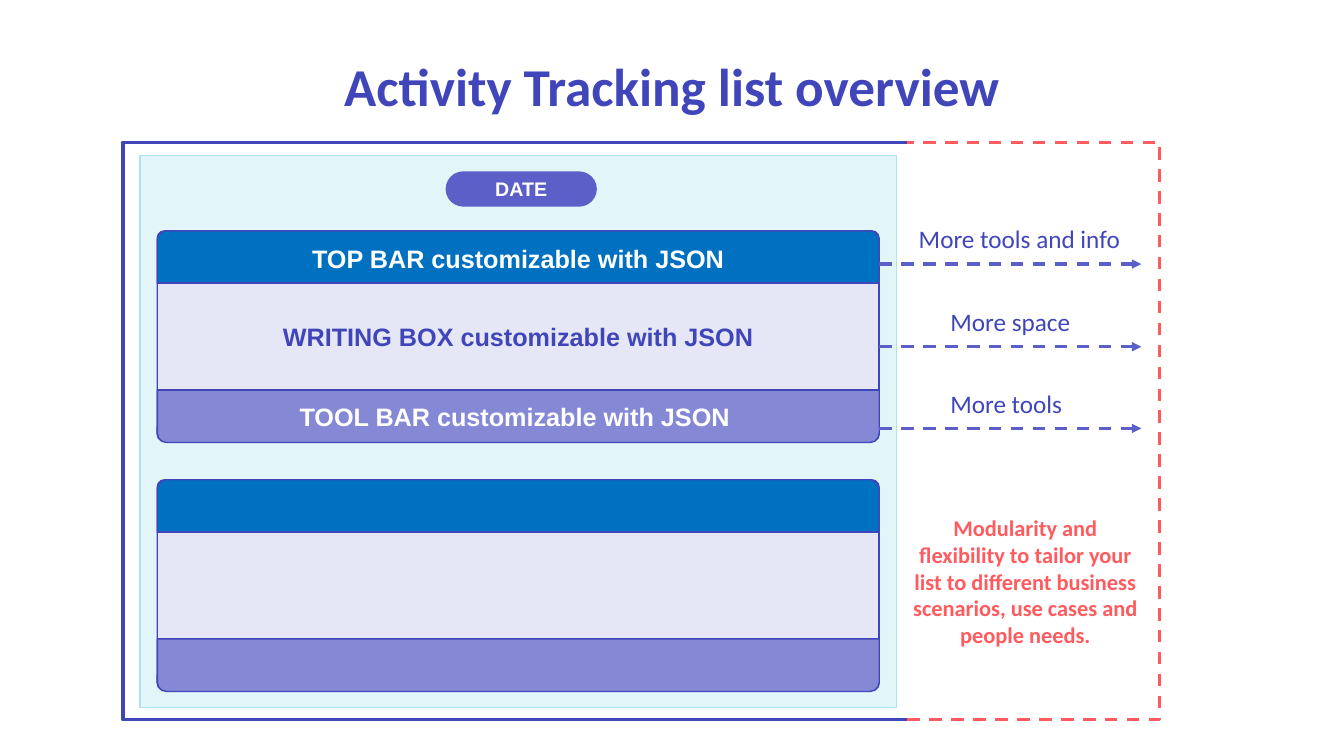
"""Build the Activity Tracking list overview slide."""
from lxml import etree
from pptx import Presentation, util as u
from pptx.dml.color import RGBColor
from pptx.enum import dml, shapes, text
from pptx.oxml import ns

PX = 9144
INDIGO = RGBColor(0x40, 0x46, 0xBA)
VIOLET = RGBColor(0x5B, 0x5F, 0xC7)
LAVENDER = RGBColor(0x85, 0x89, 0xD5)
PALE = RGBColor(0xE6, 0xE7, 0xF6)
BLUE = RGBColor(0x00, 0x70, 0xC0)
AQUA = RGBColor(0xE2, 0xF6, 0xFA)
AQUA_EDGE = RGBColor(0xAA, 0xE4, 0xF0)
CORAL = RGBColor(0xFF, 0x5B, 0x5F)
WHITE = RGBColor(0xFF, 0xFF, 0xFF)
SHAPE = shapes.MSO_SHAPE

presentation = Presentation()
presentation.slide_width, presentation.slide_height = 1333 * PX, 750 * PX
slide = presentation.slides.add_slide(presentation.slide_layouts[6])


def add_shape(kind, box, fill=None, line=None, width=1, adjustments=()):
    shape = slide.shapes.add_shape(kind, *[value * PX for value in box])
    shape.shadow.inherit = False
    for index, value in enumerate(adjustments):
        shape.adjustments[index] = value
    if fill is None:
        shape.fill.background()
    else:
        shape.fill.solid()
        shape.fill.fore_color.rgb = fill
    if line is None:
        shape.line.fill.background()
    else:
        shape.line.color.rgb = line
        shape.line.width = u.Pt(width)
    return shape


def add_text(words, size, font, color, bold=True, box=None, wrap=True, shape=None):
    if shape is None:
        shape = slide.shapes.add_textbox(*[value * PX for value in box])
        shape.text_frame.auto_size = text.MSO_AUTO_SIZE.SHAPE_TO_FIT_TEXT
    else:
        shape.text_frame.vertical_anchor = text.MSO_ANCHOR.MIDDLE
    shape.text_frame.word_wrap = wrap
    paragraph = shape.text_frame.paragraphs[0]
    paragraph.alignment = text.PP_ALIGN.CENTER
    run = paragraph.add_run()
    run.text = words
    run.font.size, run.font.name, run.font.bold = u.Pt(size), font, bold
    run.font.color.rgb = color


add_shape(SHAPE.RECTANGLE, (139, 154, 750, 548), AQUA, AQUA_EDGE)
add_text("Activity Tracking list overview", 38, "Calibri", INDIGO, box=(234, 48, 865, 74))

add_shape(SHAPE.LEFT_BRACKET, (122, 141, 778, 573), None, INDIGO, 2.25, [0])
date_pill = add_shape(SHAPE.ROUNDED_RECTANGLE, (442, 170, 150, 35), VIOLET, adjustments=[0.5])
add_text("DATE", 14, "Arial", WHITE, shape=date_pill)
extension = add_shape(SHAPE.LEFT_BRACKET, (900, 141, 250, 573), None, CORAL, 2.25, [0])
extension.line.dash_style = dml.MSO_LINE.DASH
extension._element.spPr.find(ns.qn("a:xfrm")).set("flipH", "1")

CARD_LEFT, CARD_WIDTH, BAR_HEIGHT, BOX_HEIGHT = 156, 716, 52, 106
for card_top, labelled in ((229, True), (476, False)):
    box_top = card_top + BAR_HEIGHT
    tool_top = box_top + BOX_HEIGHT
    add_shape(SHAPE.ROUNDED_RECTANGLE, (CARD_LEFT, card_top, CARD_WIDTH, 209),
              None, INDIGO, adjustments=[0.035])
    top_bar = add_shape(SHAPE.ROUND_2_SAME_RECTANGLE, (CARD_LEFT, card_top, CARD_WIDTH, BAR_HEIGHT),
                        BLUE, INDIGO, adjustments=[0.175, 0])
    writing_box = add_shape(SHAPE.RECTANGLE, (CARD_LEFT, box_top, CARD_WIDTH, BOX_HEIGHT),
                            PALE, INDIGO)
    tool_bar = add_shape(SHAPE.ROUND_2_SAME_RECTANGLE, (CARD_LEFT, tool_top, CARD_WIDTH, BAR_HEIGHT),
                         LAVENDER, INDIGO, adjustments=[0.175, 0])
    tool_bar.rotation = 180
    if labelled:
        add_text("TOP BAR customizable with JSON", 18, "Arial", WHITE, shape=top_bar)
        add_text("WRITING BOX customizable with JSON", 18, "Arial", INDIGO, shape=writing_box)
        add_text("TOOL BAR customizable with JSON", 18, "Arial", WHITE,
                 box=(285, tool_top + 6, 451, 40), wrap=False)

for label, left, width, arrow_y in (
    ("More tools and info", 900, 222, 262),
    ("More space", 932, 140, 344),
    ("More tools", 932, 132, 425),
):
    arrow = slide.shapes.add_connector(
        shapes.MSO_CONNECTOR.STRAIGHT, 872 * PX, arrow_y * PX, 1132 * PX, arrow_y * PX)
    arrow.line.color.rgb = VIOLET
    arrow.line.width = u.Pt(2.25)
    arrow.line.dash_style = dml.MSO_LINE.DASH
    etree.SubElement(arrow.line._get_or_add_ln(), ns.qn("a:tailEnd"), type="triangle")
    etree.SubElement(arrow._element.spPr, ns.qn("a:effectLst"))
    add_text(label, 18, "Calibri", INDIGO, bold=False,
             box=(left, arrow_y - 45, width, 40), wrap=False)

add_text("Modularity and flexibility to tailor your list to different business scenarios, "
         "use cases and people needs.", 16, "Calibri", CORAL, box=(891, 505, 252, 145))

presentation.save("out.pptx")
